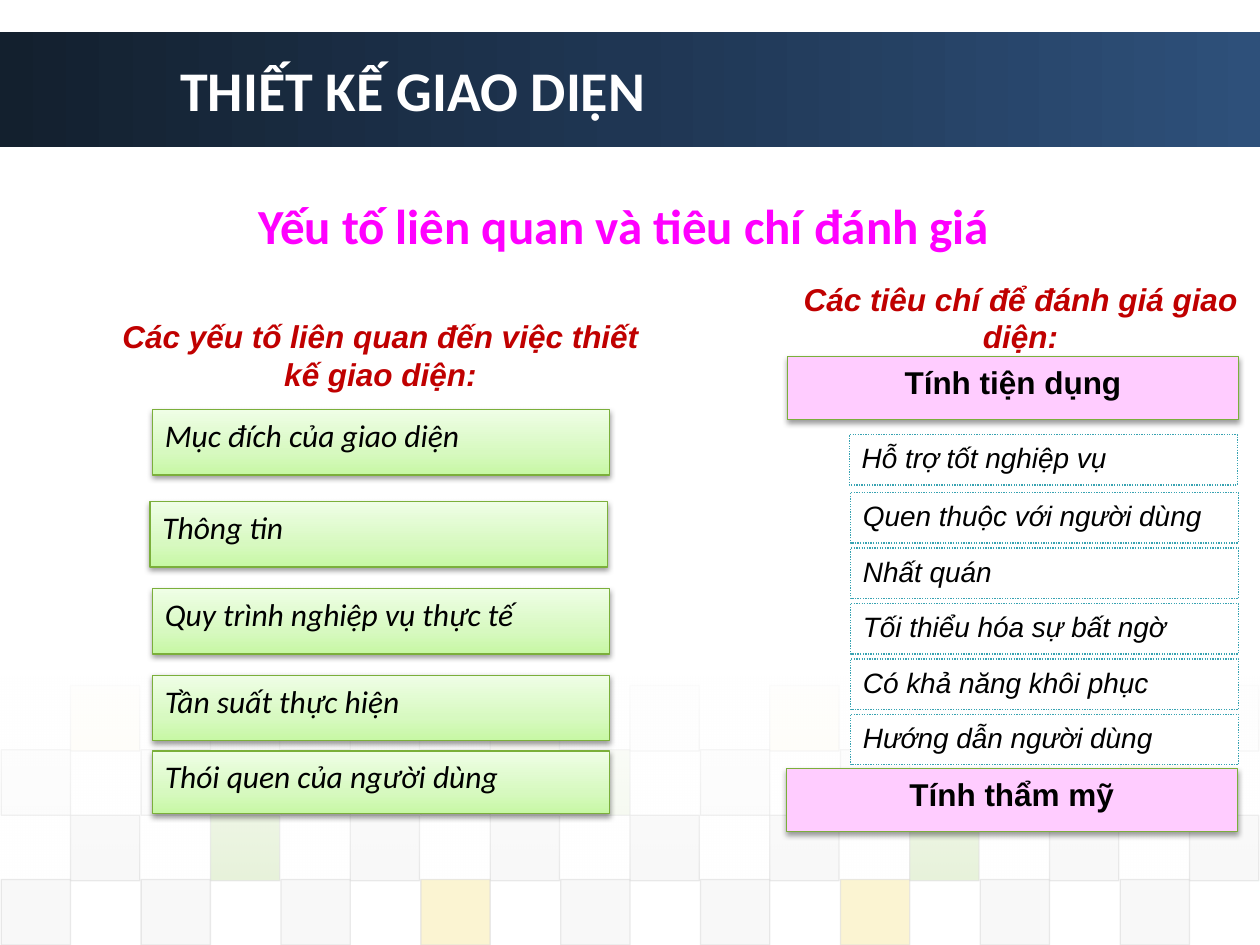
from dataclasses import dataclass

from lxml.etree import SubElement
from pptx import Presentation
from pptx.dml.color import RGBColor
from pptx.enum.dml import MSO_LINE_DASH_STYLE as Dash
from pptx.enum.shapes import MSO_SHAPE as Preset
from pptx.enum.text import MSO_ANCHOR as Anchor, PP_ALIGN as Align
from pptx.oxml import parse_xml
from pptx.oxml.ns import nsdecls, qn
from pptx.slide import Slide
from pptx.util import Inches, Pt

WHITE = RGBColor(0xFF, 0xFF, 0xFF)
BLACK = RGBColor(0, 0, 0)
NIGHT = RGBColor(0x13, 0x20, 0x2E)
NAVY = RGBColor(0x1F, 0x36, 0x53)
BLUE = RGBColor(0x2E, 0x50, 0x7A)
MAGENTA = RGBColor(0xFF, 0x00, 0xFF)
RED = RGBColor(0xC0, 0x00, 0x00)
PINK = RGBColor(0xFF, 0xCC, 0xFF)
LEAF = RGBColor(0x7B, 0xAF, 0x3B)
TEAL = RGBColor(0x38, 0xA3, 0xB2)
GREY = RGBColor(0xDD, 0xDD, 0xDD)
TILE_COLORS = {
    "D": GREY,
    "E": RGBColor(0xEA, 0xEA, 0xEA),
    "G": RGBColor(0x8A, 0xC2, 0x46),
    "Y": RGBColor(0xEF, 0xC8, 0x21),
}
GREEN_STOPS = [
    (0, RGBColor(0xC7, 0xF8, 0xA4), 100),
    (35, RGBColor(0xD7, 0xF9, 0xC0), 100),
    (100, RGBColor(0xEF, 0xFE, 0xE6), 100),
]
TILE_ROWS = [
    (5.44, 0.56, 5, "YEEYDYEGE"),
    (5.95, 0.01, 10, "DDDDGDDDY"),
    (6.47, 0.56, 20, "DGDDDDGDD"),
    (6.98, 0.01, 20, "DDDYDDYDD"),
]
FACTORS = [
    (1.21, 3.25, 0.52, "Mục đích của giao diện"),
    (1.19, 3.98, 0.52, "Thông tin"),
    (1.21, 4.67, 0.52, "Quy trình nghiệp vụ thực tế"),
    (1.21, 5.36, 0.52, "Tần suất thực hiện"),
    (1.21, 5.96, 0.5, "Thói quen của người dùng"),
]
USABILITY = [
    "Quen thuộc với người dùng",
    "Nhất quán",
    "Tối thiểu hóa sự bất ngờ",
    "Có khả năng khôi phục",
    "Hướng dẫn người dùng",
]


@dataclass
class SlideBuilder:
    page: Slide
    heading_font: str = "Calibri"
    label_font: str = "Arial"
    line_width: float = 0.75

    def rectangle(self, left, top, width, height, fill=None, line=None):
        box = self.page.shapes.add_shape(
            Preset.RECTANGLE, Inches(left), Inches(top), Inches(width), Inches(height))
        box.shadow.inherit = False
        if fill is not None:
            box.fill.solid()
            box.fill.fore_color.rgb = fill
        if line is None:
            box.line.fill.background()
        else:
            box.line.color.rgb = line
            box.line.width = Pt(self.line_width)
        return box

    def gradient(self, box, stops, angle):
        marks = "".join(
            f'<a:gs pos="{place * 1000}"><a:srgbClr val="{color}">'
            f'<a:alpha val="{alpha * 1000}"/></a:srgbClr></a:gs>'
            for place, color, alpha in stops)
        fill = parse_xml(
            f'<a:gradFill {nsdecls("a")} rotWithShape="1"><a:gsLst>{marks}</a:gsLst>'
            f'<a:lin ang="{angle * 60000}" scaled="0"/></a:gradFill>')
        box.element.spPr.find(qn("a:prstGeom")).addnext(fill)

    def soft_shadow(self, box):
        effects = box.element.spPr.find(qn("a:effectLst"))
        effects.append(parse_xml(
            f'<a:outerShdw {nsdecls("a")} blurRad="40000" dist="20000" dir="5400000" '
            'rotWithShape="0"><a:srgbClr val="000000"><a:alpha val="38000"/>'
            '</a:srgbClr></a:outerShdw>'))

    def tile(self, left, top, color, alpha):
        box = self.rectangle(left, top, 0.55, 0.52, color, GREY)
        fill_color, line_color = box.element.spPr.findall(f'.//{qn("a:srgbClr")}')
        for node, percent in ((fill_color, alpha), (line_color, 60)):
            SubElement(node, qn("a:alpha")).set("val", str(percent * 1000))

    def label(self, box, text, size, font, color=BLACK, bold=False, italic=False,
              align=Align.LEFT, anchor=Anchor.TOP):
        frame = box.text_frame
        frame.word_wrap = True
        frame.vertical_anchor = anchor
        para = frame.paragraphs[0]
        para.text = text
        para.alignment = align
        para.font.size = Pt(size)
        para.font.name = font
        para.font.bold = bold
        para.font.italic = italic
        para.font.color.rgb = color

    def title(self, text):
        box = self.page.shapes.title
        box.left, box.top, box.width, box.height = map(Inches, (1.33, 0.25, 8.65, 0.92))
        self.label(box, text, 32, self.heading_font, WHITE, bold=True, anchor=Anchor.MIDDLE)
        box.element.getparent().append(box.element)

    def caption(self, left, top, width, height, text, size, font, color, italic=False):
        box = self.page.shapes.add_textbox(
            Inches(left), Inches(top), Inches(width), Inches(height))
        self.label(box, text, size, font, color, True, italic, Align.CENTER)

    def criterion(self, left, top, text):
        box = self.rectangle(left, top, 3.58, 0.5, PINK, LEAF)
        self.soft_shadow(box)
        self.label(box, text, 18, self.label_font, bold=True, align=Align.CENTER)

    def detail(self, left, top, text):
        box = self.rectangle(left, top, 3.08, 0.4, WHITE, TEAL)
        box.line.dash_style = Dash.ROUND_DOT
        self.label(box, text, 16, self.label_font, italic=True)

    def factor(self, left, top, height, text):
        box = self.rectangle(left, top, 3.63, height, line=LEAF)
        self.gradient(box, GREEN_STOPS, 270)
        self.soft_shadow(box)
        self.label(box, text, 18, self.heading_font, italic=True)

    def backdrop(self):
        banner = self.rectangle(0, 0.25, 10, 0.92)
        self.gradient(banner, [(0, NIGHT, 100), (50, NAVY, 100), (100, BLUE, 100)], 0)
        for top, start, alpha, codes in TILE_ROWS:
            for column, code in enumerate(codes):
                self.tile(start + column * 1.11, top, TILE_COLORS[code], alpha)
        veil = self.rectangle(0, 5.37, 10, 1.62)
        self.gradient(veil, [(0, WHITE, 90), (100, WHITE, 0)], 90)


def main():
    deck = Presentation()
    deck.slide_width, deck.slide_height = Inches(10), Inches(7.5)
    builder = SlideBuilder(deck.slides.add_slide(deck.slide_layouts[5]))
    builder.backdrop()
    builder.title("THIẾT KẾ GIAO DIỆN")
    builder.caption(0.5, 1.5, 8.9, 0.6, "Yếu tố liên quan và tiêu chí đánh giá",
                    28, builder.heading_font, MAGENTA)
    builder.criterion(6.25, 2.83, "Tính tiện dụng")
    builder.detail(6.74, 3.45, "Hỗ trợ tốt nghiệp vụ")
    for row, text in enumerate(USABILITY):
        builder.detail(6.75, 3.91 + row * 0.44, text)
    builder.criterion(6.24, 6.1, "Tính thẩm mỹ")
    for factor in FACTORS:
        builder.factor(*factor)
    builder.caption(0.83, 2.47, 4.38, 0.71,
                    "Các yếu tố liên quan đến việc thiết kế giao diện:",
                    18, builder.label_font, RED, italic=True)
    builder.caption(6.24, 2.17, 3.72, 0.71, "Các tiêu chí để đánh giá giao diện:",
                    18, builder.label_font, RED, italic=True)
    deck.save("out.pptx")


if __name__ == "__main__":
    main()
